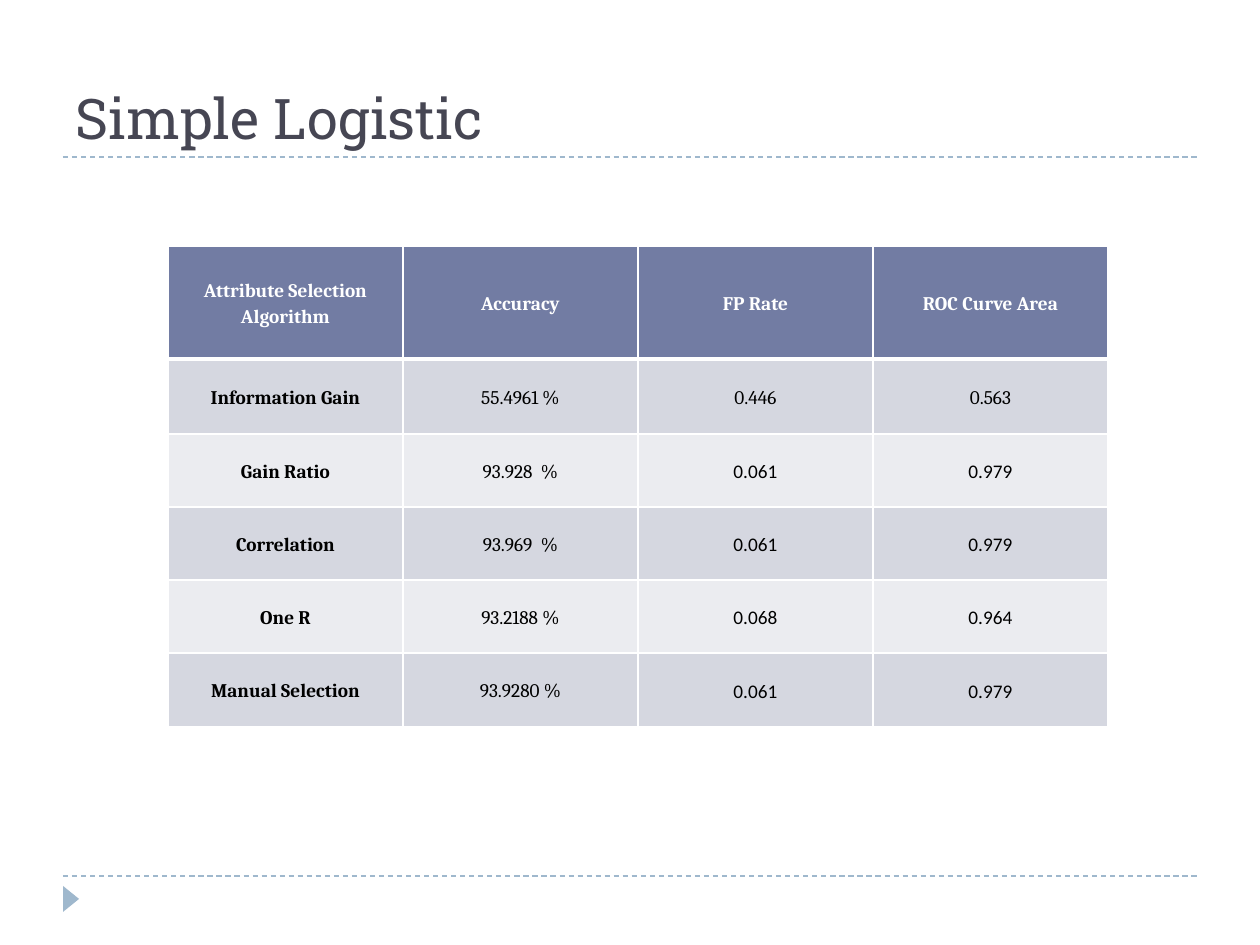
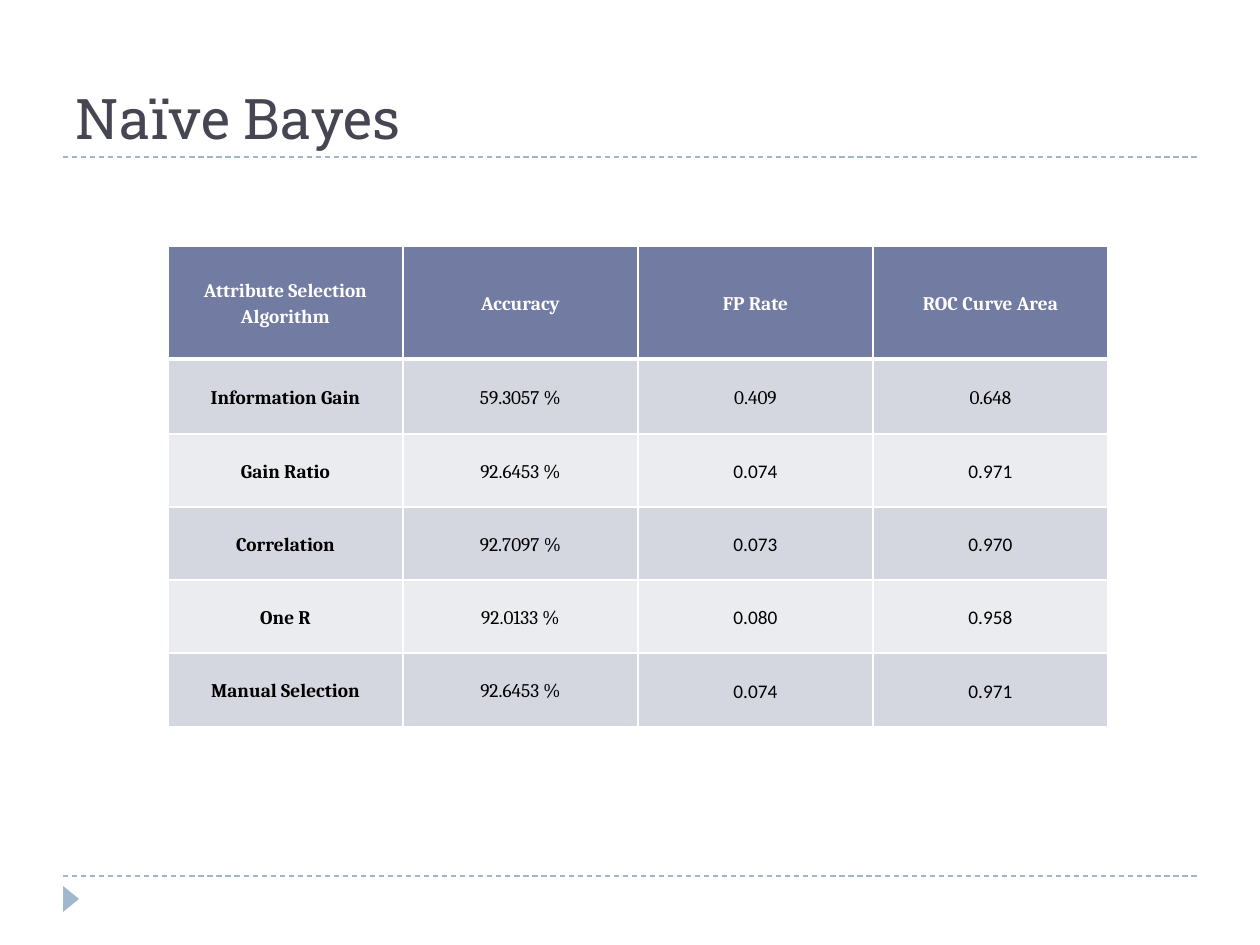
"""Builds two slides that tabulate classifier results by attribute selection algorithm."""
import pptx
import pptx.dml.color
import pptx.enum.dml
import pptx.enum.shapes
import pptx.enum.text
import pptx.oxml
import pptx.oxml.ns
import pptx.util

PX = 914400 // 126
RGB = pptx.dml.color.RGBColor
WHITE = RGB(0xFF, 0xFF, 0xFF)
BLACK = RGB(0, 0, 0)
TITLE = RGB(0x46, 0x46, 0x53)
ACCENT = RGB(0x9F, 0xB8, 0xCD)
HEADER = RGB(0x72, 0x7C, 0xA3)
BANDS = [RGB(0xEB, 0xEC, 0xF0), RGB(0xD5, 0xD7, 0xE0)]
ANCHOR = pptx.enum.text.MSO_ANCHOR
ALIGN = pptx.enum.text.PP_ALIGN
NS = pptx.oxml.ns.nsdecls("a")

COL_W = 235
ROW_H = [113, 75, 73, 73, 73, 74]
HEADINGS = ["Attribute Selection Algorithm", "Accuracy", "FP Rate", "ROC Curve Area"]
ALGORITHMS = ["Information Gain", "Gain Ratio", "Correlation", "One R", "Manual Selection"]
RESULTS = {
    "Simple Logistic": [
        ("55.4961 %", "0.446", "0.563"),
        ("93.928  %", "0.061", "0.979"),
        ("93.969  %", "0.061", "0.979"),
        ("93.2188 %", "0.068", "0.964"),
        ("93.9280 %", "0.061", "0.979"),
    ],
    "Naïve Bayes": [
        ("59.3057 %", "0.409", "0.648"),
        ("92.6453 %", "0.074", "0.971"),
        ("92.7097 %", "0.073", "0.970"),
        ("92.0133 %", "0.080", "0.958"),
        ("92.6453 %", "0.074", "0.971"),
    ],
}


def write(tf, text, size=11, font="Cambria", color=BLACK, bold=False,
          align=ALIGN.CENTER, spacing=1.15):
    p = tf.paragraphs[0]
    p.alignment = align
    p.line_spacing = spacing
    r = p.add_run()
    r.text = text
    r.font.size = pptx.util.Pt(size)
    r.font.name = font
    r.font.bold = bold
    r.font.color.rgb = color


def set_borders(cell, top, bottom):
    tcPr = cell._tc.get_or_add_tcPr()
    widths = {"lnL": 1, "lnR": 1, "lnT": top, "lnB": bottom}
    for i, (tag, width) in enumerate(widths.items()):
        tcPr.insert(i, pptx.oxml.parse_xml(
            f'<a:{tag} {NS} w="{width * 12700}"><a:solidFill>'
            f'<a:srgbClr val="{WHITE}"/></a:solidFill></a:{tag}>'))


prs = pptx.Presentation()
prs.slide_width = pptx.util.Inches(10)
prs.slide_height = pptx.util.Inches(7.5)

for title, results in RESULTS.items():
    slide = prs.slides.add_slide(prs.slide_layouts[5])
    slide.background.fill.solid()
    slide.background.fill.fore_color.rgb = WHITE

    for y in (876, 157):
        line = slide.shapes.add_connector(
            pptx.enum.shapes.MSO_CONNECTOR.STRAIGHT, 63 * PX, y * PX, 1197 * PX, y * PX)
        line.line.color.rgb = ACCENT
        line.line.width = pptx.util.Pt(0.75)
        line.line.dash_style = pptx.enum.dml.MSO_LINE.DASH
        line._element.spPr.append(pptx.oxml.parse_xml(f"<a:effectLst {NS}/>"))

    sp = slide.shapes.add_shape(
        pptx.enum.shapes.MSO_SHAPE.ISOSCELES_TRIANGLE, 58 * PX, 891 * PX, 26 * PX, 16 * PX)
    sp.rotation = 90
    sp.shadow.inherit = False
    sp.fill.solid()
    sp.fill.fore_color.rgb = ACCENT
    sp.line.fill.background()

    sp = slide.shapes.title
    sp.left, sp.top, sp.width, sp.height = 63 * PX, 21 * PX, 1134 * PX, 136 * PX
    tf = sp.text_frame
    tf.word_wrap = True
    tf.vertical_anchor = ANCHOR.BOTTOM
    write(tf, title, size=32, font="Roboto Slab", color=TITLE, align=ALIGN.LEFT, spacing=1.0)

    rows = [HEADINGS] + [(name, *values) for name, values in zip(ALGORITHMS, results)]
    table = slide.shapes.add_table(
        len(rows), len(HEADINGS), 168 * PX, 246 * PX,
        COL_W * len(HEADINGS) * PX, sum(ROW_H) * PX).table
    for column in table.columns:
        column.width = COL_W * PX
    for i, values in enumerate(rows):
        table.rows[i].height = ROW_H[i] * PX
        for j, text in enumerate(values):
            cell = table.cell(i, j)
            cell.fill.solid()
            cell.fill.fore_color.rgb = BANDS[i % 2] if i else HEADER
            cell.vertical_anchor = ANCHOR.MIDDLE
            cell.margin_left = cell.margin_right = 9 * PX
            cell.margin_top = cell.margin_bottom = 0
            write(cell.text_frame, text,
                  font="Calibri" if i > 1 and j > 1 else "Cambria",
                  color=BLACK if i else WHITE,
                  bold=i == 0 or j == 0)
            set_borders(cell, top=3 if i == 1 else 1, bottom=1 if i else 3)

prs.save("out.pptx")
